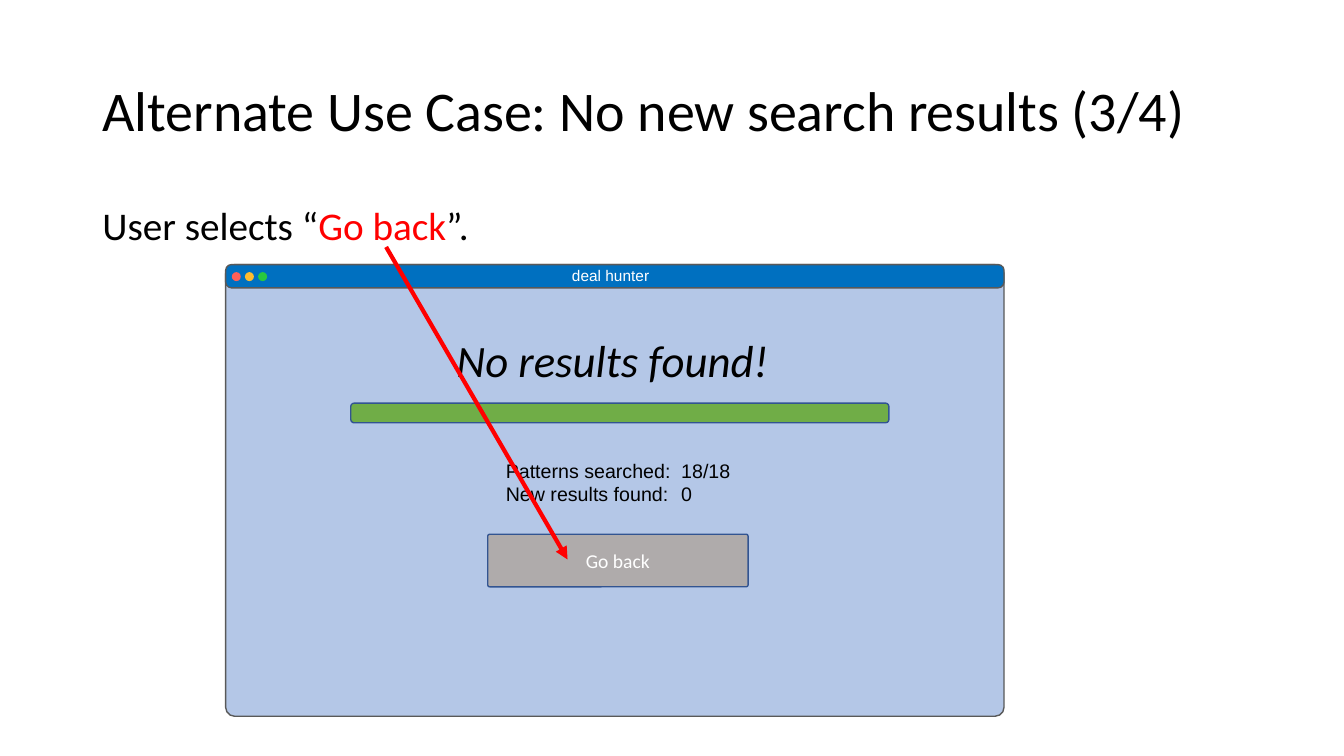
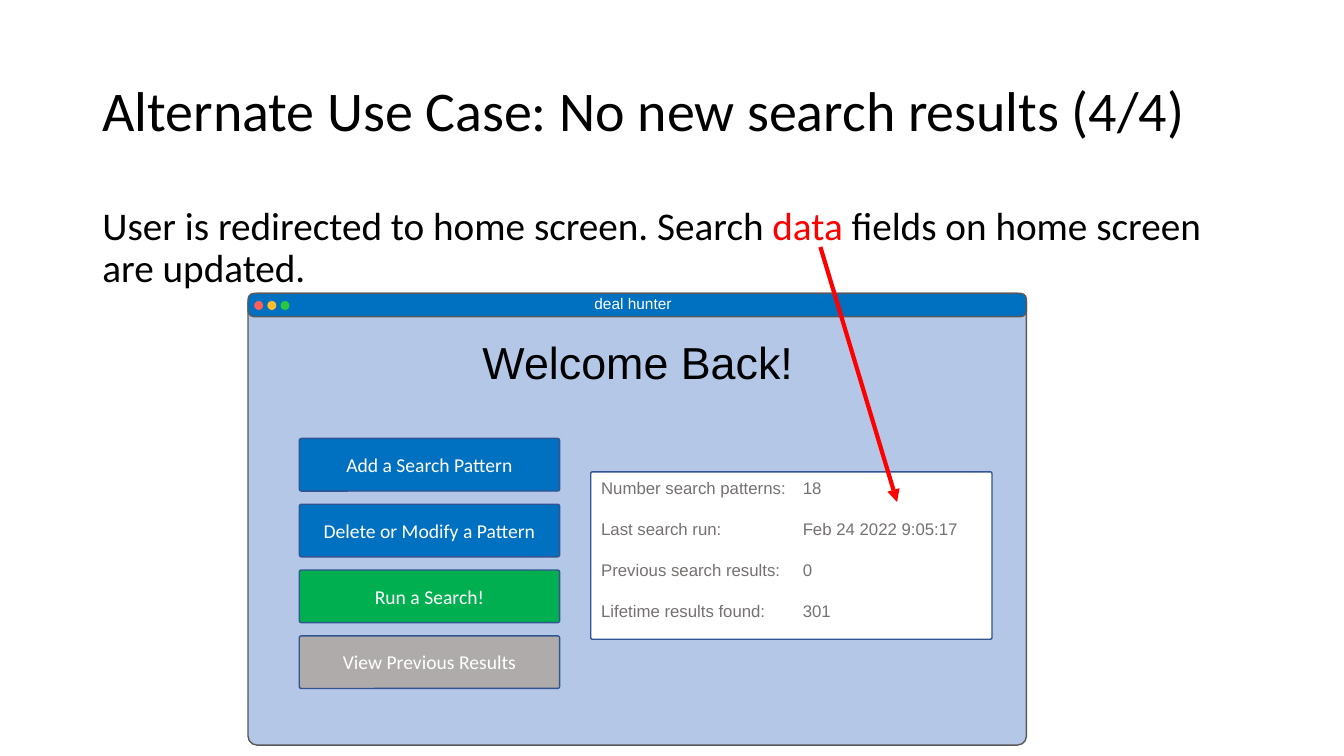
import pptx
import pptx.util
import pptx.dml.color
import pptx.enum.shapes
import pptx.enum.text
import pptx.oxml.ns
import lxml.etree

# Slide grid: 48 columns by 27 rows of square cells
SLIDE_W, SLIDE_H = pptx.util.Inches(13.333), pptx.util.Inches(7.5)
COLUMNS, ROWS = 48, 27

# Shared colours and fonts
BLACK, WHITE, RED = "000000", "FFFFFF", "FF0000"
WINDOW_FILL, WINDOW_EDGE, BAR_BLUE = "B4C7E7", "595959", "0070C0"
WIDGET_EDGE, BUTTON_GREY, RUN_GREEN = "325491", "AFABAB", "00B050"
PROGRESS_GREEN, DATA_GREY = "70AD47", "767171"
DOT_COLOURS = ["FF5F57", "FFBC2E", "28C840"]
HEADING_FONT, APP_FONT = "Calibri", "Arial"

# Shared layout, in grid cells
TITLE_AREA = (3.3, 1.44, 41.4, 5.22)
BODY_AREA = (3.3, 7.2, 41.4, 17.14)
WINDOW_W, WINDOW_H, BAR_H = 27.8, 16.13, 0.83
DOT_SIZE, DOT_STEP = 0.32, 0.47
BUTTON_W, BUTTON_H, BUTTON_STEP = 9.3, 1.88, 2.35

SHAPE = pptx.enum.shapes.MSO_SHAPE
ALIGN = pptx.enum.text.PP_ALIGN
ANCHOR = pptx.enum.text.MSO_ANCHOR


def grid(*cells):
    """Turn alternating column and row counts into slide lengths."""
    units = (SLIDE_W / COLUMNS, SLIDE_H / ROWS)
    return [round(count * units[i % 2]) for i, count in enumerate(cells)]


def colour(hex_code):
    return pptx.dml.color.RGBColor.from_string(hex_code)


def add_element(parent, tag, **attributes):
    return lxml.etree.SubElement(parent, pptx.oxml.ns.qn(tag), attributes)


def style(paragraph, size, font, hex_code, align=ALIGN.LEFT, italic=False):
    paragraph.alignment = align
    paragraph.font.size = pptx.util.Pt(size)
    paragraph.font.name = font
    paragraph.font.italic = italic
    paragraph.font.color.rgb = colour(hex_code)


def write_lines(frame, lines, size, font, hex_code, tab=None, gap=0, **look):
    """Write one paragraph per line, with an optional tab stop in inches."""
    for i, line in enumerate(lines):
        paragraph = frame.paragraphs[0] if i == 0 else frame.add_paragraph()
        paragraph.text = line
        if tab:
            stops = add_element(paragraph._p.get_or_add_pPr(), "a:tabLst")
            add_element(stops, "a:tab", pos=str(pptx.util.Inches(tab)), algn="l")
        if gap and i < len(lines) - 1:
            paragraph.space_after = pptx.util.Pt(gap)
        style(paragraph, size, font, hex_code, **look)


def add_text(slide, area, lines, size, font, hex_code, **look):
    frame = slide.shapes.add_textbox(*grid(*area)).text_frame
    frame.word_wrap = True
    write_lines(frame, lines, size, font, hex_code, **look)


def add_box(slide, kind, area, fill, edge=None, corner=None):
    box = slide.shapes.add_shape(kind, *grid(*area))
    box.shadow.inherit = False
    box.fill.solid()
    box.fill.fore_color.rgb = colour(fill)
    if edge:
        box.line.color.rgb = colour(edge)
        box.line.width = pptx.util.Pt(1)
    else:
        box.line.fill.background()
    if corner is not None:
        box.adjustments[0] = corner
    return box


def add_button(slide, left, top, label, fill):
    button = add_box(slide, SHAPE.ROUNDED_RECTANGLE,
                     (left, top, BUTTON_W, BUTTON_H), fill, WIDGET_EDGE, 0.04)
    button.text_frame.vertical_anchor = ANCHOR.MIDDLE
    write_lines(button.text_frame, [label], 14, HEADING_FONT, WHITE,
                align=ALIGN.CENTER)


def add_window(slide, left, top):
    """Draw the application window with its title bar and three dots."""
    add_box(slide, SHAPE.ROUNDED_RECTANGLE, (left, top, WINDOW_W, WINDOW_H),
            WINDOW_FILL, WINDOW_EDGE, 0.02)
    add_box(slide, SHAPE.ROUNDED_RECTANGLE, (left, top, WINDOW_W, BAR_H),
            BAR_BLUE, WINDOW_EDGE, 0.25)
    for i, dot in enumerate(DOT_COLOURS):
        add_box(slide, SHAPE.OVAL,
                (left + 0.22 + i * DOT_STEP, top + 0.27, DOT_SIZE, DOT_SIZE), dot)
    add_text(slide, (left + 11.75, top - 0.14, 4, 1.04), ["deal hunter"],
             11, APP_FONT, WHITE, align=ALIGN.CENTER)


def add_arrow(slide, start, end):
    arrow = slide.shapes.add_connector(
        pptx.enum.shapes.MSO_CONNECTOR.STRAIGHT, *grid(*start, *end))
    arrow.line.color.rgb = colour(RED)
    arrow.line.width = pptx.util.Pt(3)
    add_element(arrow.line._get_or_add_ln(), "a:tailEnd", type="triangle")
    add_element(arrow._element.spPr, "a:effectLst")


def place(placeholder, area, anchor):
    placeholder.left, placeholder.top, placeholder.width, placeholder.height = grid(*area)
    frame = placeholder.text_frame
    frame.auto_size = pptx.enum.text.MSO_AUTO_SIZE.NONE
    frame.vertical_anchor = anchor
    return frame.paragraphs[0]


def add_use_case_slide(deck, step, before, marked, after):
    """Start a slide with its title and a sentence with one red part."""
    slide = deck.slides.add_slide(deck.slide_layouts[1])
    title = place(slide.shapes.title, TITLE_AREA, ANCHOR.MIDDLE)
    title.text = f"Alternate Use Case: No new search results ({step}/4)"
    title.line_spacing = 0.9
    style(title, 40, HEADING_FONT, BLACK)

    sentence = place(slide.placeholders[1], BODY_AREA, ANCHOR.TOP)
    properties = sentence._p.get_or_add_pPr()
    properties.set("marL", "0")
    properties.set("indent", "0")
    add_element(properties, "a:buNone")
    sentence.line_spacing = 0.9
    sentence.space_before = pptx.util.Pt(0)
    style(sentence, 28, HEADING_FONT, BLACK)
    for part, hex_code in ((before, BLACK), (marked, RED), (after, BLACK)):
        run = sentence.add_run()
        run.text = part
        run.font.color.rgb = colour(hex_code)
    return slide


def add_no_results_slide(deck):
    slide = add_use_case_slide(deck, 3, "User selects “", "Go back", "”.")
    add_window(slide, 8.06, 9.45)
    add_button(slide, 17.42, 19.08, "Go back", BUTTON_GREY)
    add_text(slide, (15.95, 11.7, 12, 2.3), ["No results found!"],
             32, HEADING_FONT, BLACK, italic=True)
    # Full progress bar and search counts
    add_box(slide, SHAPE.ROUNDED_RECTANGLE, (12.53, 14.4, 19.22, 0.7),
            PROGRESS_GREEN, WIDGET_EDGE)
    add_text(slide, (17.71, 16.2, 9.5, 2.05),
             ["Patterns searched:\t18/18", "New results found:\t0"],
             14, APP_FONT, BLACK, tab=1.74)
    add_arrow(slide, (13.79, 8.82), (20.27, 19.98))


def add_home_screen_slide(deck):
    slide = add_use_case_slide(
        deck, 4, "User is redirected to home screen. Search ", "data ",
        "fields on home screen are updated.")
    add_window(slide, 8.86, 10.48)
    add_text(slide, (16.88, 11.77, 12.2, 2.3), ["Welcome Back!"],
             32, APP_FONT, BLACK)
    # Menu buttons
    menu = [("Add a Search Pattern", BAR_BLUE),
            ("Delete or Modify a Pattern", BAR_BLUE),
            ("Run a Search!", RUN_GREEN),
            ("View Previous Results", BUTTON_GREY)]
    for i, (label, fill) in enumerate(menu):
        add_button(slide, 10.69, 15.66 + i * BUTTON_STEP, label, fill)
    # Search data panel
    search_data = add_box(slide, SHAPE.ROUNDED_RECTANGLE,
                          (21.1, 16.85, 14.33, 5.98), WHITE, WIDGET_EDGE, 0.01)
    search_data.text_frame.vertical_anchor = ANCHOR.TOP
    write_lines(search_data.text_frame,
                ["Number search patterns:\t18",
                 "Last search run:\tFeb 24 2022 9:05:17",
                 "Previous search results:\t0",
                 "Lifetime results found:\t301"],
                12, APP_FONT, DATA_GREY, tab=2, gap=15)
    add_arrow(slide, (29.3, 8.82), (32.04, 17.93))


def main():
    deck = pptx.Presentation()
    deck.slide_width, deck.slide_height = SLIDE_W, SLIDE_H
    add_no_results_slide(deck)
    add_home_screen_slide(deck)
    deck.save("out.pptx")


if __name__ == "__main__":
    main()
